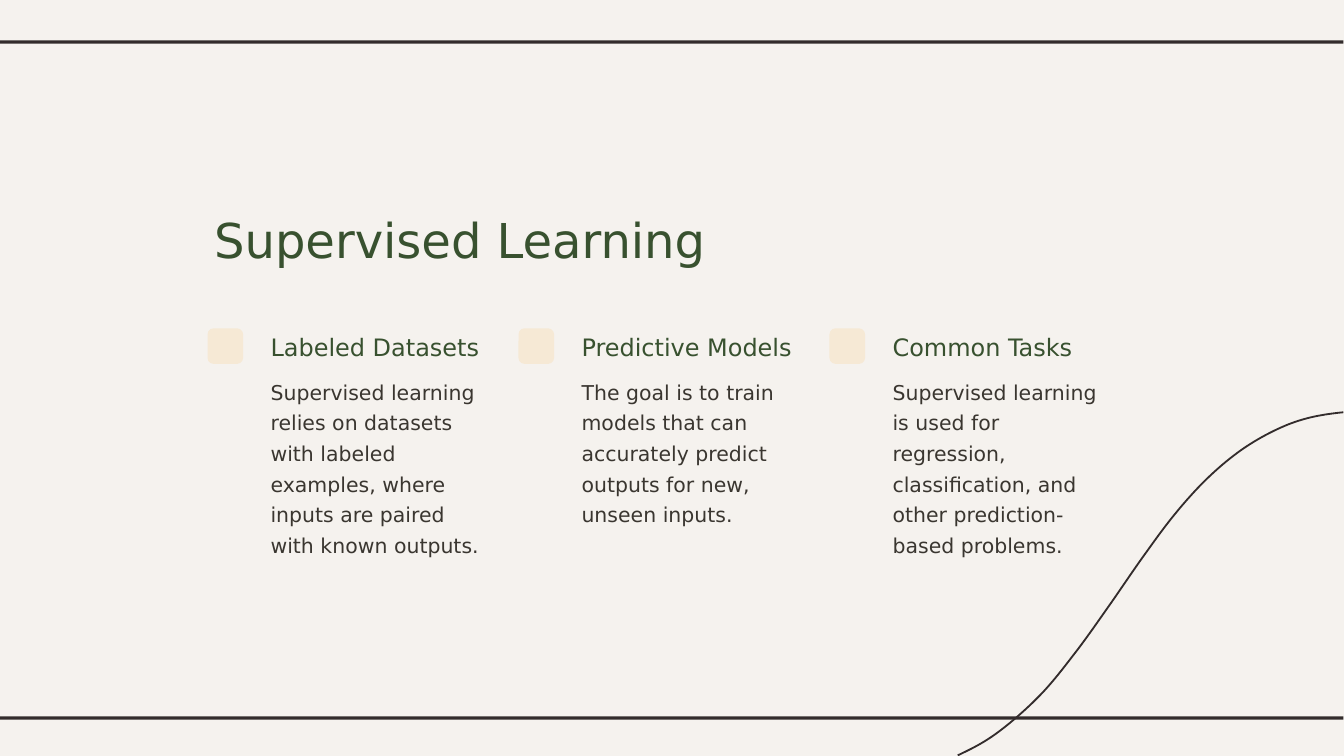
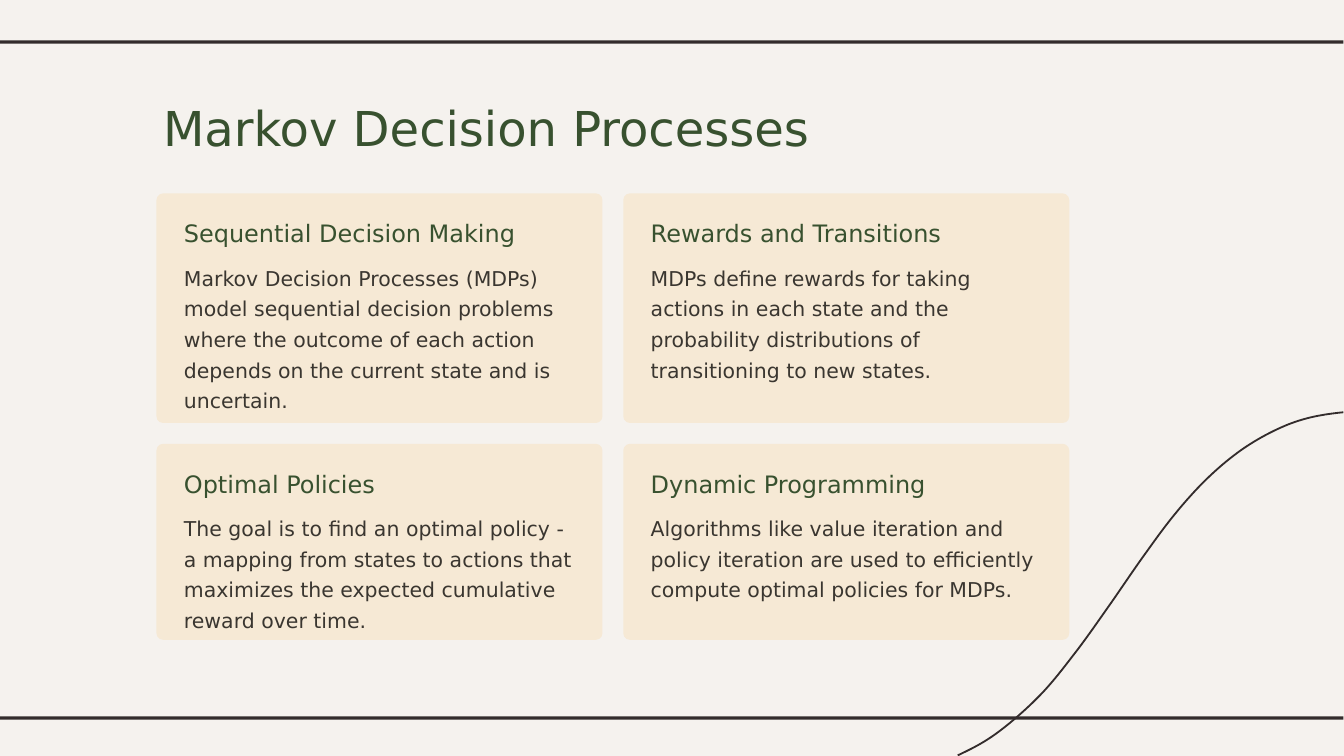
from pptx import Presentation
from pptx.dml.color import RGBColor
from pptx.enum.shapes import MSO_SHAPE
from pptx.util import Emu, Pt

FONT = "DejaVu Sans"
PAPER, INK, GREEN, SAND, GREY = "F5F2EE", "332C2C", "38512F", "F6E9D5", "3A3630"
TITLE = (51.5, 64.4, GREEN)
HEAD = (25.7, 32.2, GREEN)
BODY = (21.9, 32.8, GREY)
LEAD_IN, LEAD_OUT = (2054, 612), (1365, 1148)
CURVE = [
    (2000, 614), (1946, 623), (1898, 641), (1847, 671), (1797, 713),
    (1749, 766), (1702, 829), (1650, 904), (1601, 972), (1548, 1036),
    (1484, 1092), (1426, 1125),
]
TASKS = [
    ("Labeled Datasets", "Supervised learning relies on datasets with labeled examples, "
     "where inputs are paired with known outputs."),
    ("Predictive Models", "The goal is to train models that can accurately predict "
     "outputs for new, unseen inputs."),
    ("Common Tasks", "Supervised learning is used for regression, classification, "
     "and other prediction-based problems."),
]
CARDS = [
    ("Sequential Decision Making", "Markov Decision Processes (MDPs) model sequential "
     "decision problems where the outcome of each action depends on the current state "
     "and is uncertain."),
    ("Rewards and Transitions", "MDPs define rewards for taking actions in each state "
     "and the probability distributions of transitioning to new states."),
    ("Optimal Policies", "The goal is to find an optimal policy - a mapping from states "
     "to actions that maximizes the expected cumulative reward over time."),
    ("Dynamic Programming", "Algorithms like value iteration and policy iteration are "
     "used to efficiently compute optimal policies for MDPs."),
]


def px(n):
    return Emu(round(n * 9144))


def tint(fill, code):
    fill.solid()
    fill.fore_color.rgb = RGBColor.from_string(code)


def block(slide, x, y, w, h, code, round_by=0):
    kind = MSO_SHAPE.ROUNDED_RECTANGLE if round_by else MSO_SHAPE.RECTANGLE
    shape = slide.shapes.add_shape(kind, px(x), px(y), px(w), px(h))
    if round_by:
        shape.adjustments[0] = round_by / min(w, h)
    shape.shadow.inherit = False
    tint(shape.fill, code)
    shape.line.fill.background()


def text(slide, x, y, w, h, words, style):
    size, lead, code = style
    frame = slide.shapes.add_textbox(px(x), px(y), px(w), px(h)).text_frame
    frame.word_wrap = True
    frame.text = words
    para = frame.paragraphs[0]
    para.line_spacing = Pt(lead)
    font = para.runs[0].font
    font.name, font.size = FONT, Pt(size)
    tint(font.fill, code)


def blend(a, b, c, d, t):
    return (2 * b + (c - a) * t + (2 * a - 5 * b + 4 * c - d) * t ** 2
            + (3 * b - a - 3 * c + d) * t ** 3) / 2


def curve(slide, steps=10):
    ends = [LEAD_IN, *CURVE, LEAD_OUT]
    dots = [
        tuple(px(blend(*axis, i / steps)) for axis in zip(*part))
        for part in zip(ends, ends[1:], ends[2:], ends[3:])
        for i in range(1, steps + 1)
    ]
    pen = slide.shapes.build_freeform(*map(px, CURVE[0]))
    pen.add_line_segments(dots, close=False)
    shape = pen.convert_to_shape()
    shape.shadow.inherit = False
    shape.fill.background()
    tint(shape.line.fill, INK)
    shape.line.width = Pt(1.97)


def page(deck, title, x, y, w):
    slide = deck.slides.add_slide(deck.slide_layouts[6])
    curve(slide)
    for top in (60, 1067):
        block(slide, 0, top, 2000, 5, INK)
    text(slide, x, y, w, 89, title, TITLE)
    return slide


def entry(slide, x, y, w, h, head, body):
    text(slide, x, y, w, 45, head, HEAD)
    text(slide, x, y + 63, w, h, body, BODY)


def columns(deck):
    left, top, step, chip = 309, 489, 463, 53
    slide = page(deck, "Supervised Learning", left, 305, 780)
    for i, (head, body) in enumerate(TASKS):
        x = left + i * step
        block(slide, x, top, chip, chip, SAND, 9)
        entry(slide, x + 84, top, 349, 228, head, body)


def cards(deck):
    left, top, wide, gap = 233, 288, 664, 31
    tall = (342, 292)
    slide = page(deck, "Markov Decision Processes", left, 138, 1020)
    for i, (head, body) in enumerate(CARDS):
        row, col = divmod(i, 2)
        x = left + col * (wide + gap)
        y = top + row * (tall[0] + gap)
        block(slide, x, y, wide, tall[row], SAND, 10)
        entry(slide, x + gap, y + gap, 603, 182, head, body)


def main():
    deck = Presentation()
    deck.slide_width, deck.slide_height = px(2001), px(1126)
    tint(deck.slide_master.background.fill, PAPER)
    columns(deck)
    cards(deck)
    deck.save("out.pptx")


if __name__ == "__main__":
    main()
